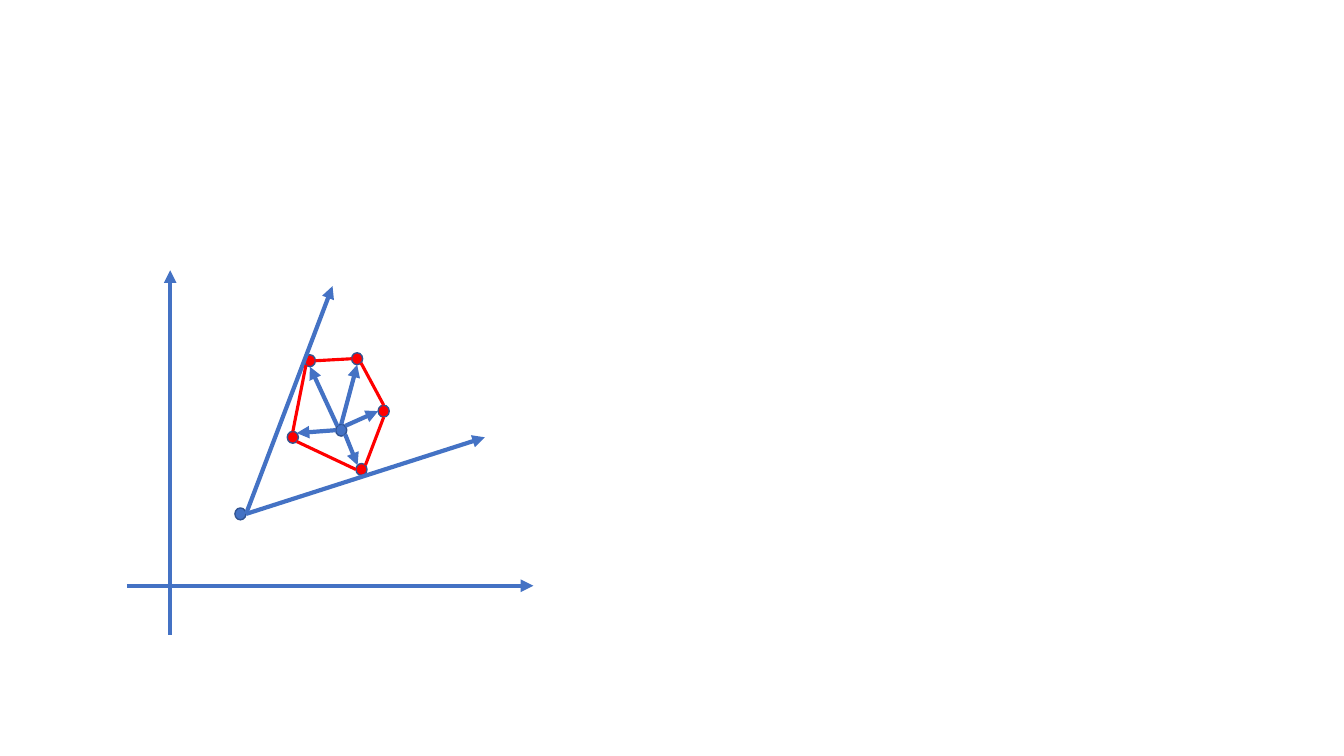
import math
from dataclasses import dataclass

from lxml import etree
from pptx import Presentation
from pptx import util as u
from pptx.dml.color import RGBColor
from pptx.enum import shapes
from pptx.oxml.ns import qn

COLORS = {"blue": "4472C4", "red": "FF0000", "rim": "325491"}
DOT_W, DOT_H = 0.28, 0.30

# Rim positions of a dot, in degrees clockwise from the right
ANGLES = {"E": 0, "SE": 45, "S": 90, "SW": 135, "W": 180, "NW": 225, "N": 270, "NE": 315}

Point = tuple[float, float]


@dataclass
class Dot:
    left: float
    top: float
    color: str

    def rim(self, side: str) -> Point:
        angle = math.radians(ANGLES[side])
        return (self.left + DOT_W / 2 * (1 + math.cos(angle)),
                self.top + DOT_H / 2 * (1 + math.sin(angle)))


@dataclass
class Line:
    start: Point
    end: Point
    color: str = "blue"
    width: float = 3
    arrow: bool = True


def draw_dot(slide, dot: Dot) -> None:
    sp = slide.shapes.add_shape(shapes.MSO_SHAPE.OVAL, u.Cm(dot.left), u.Cm(dot.top),
                                u.Cm(DOT_W), u.Cm(DOT_H))
    sp.shadow.inherit = False
    sp.fill.solid()
    sp.fill.fore_color.rgb = RGBColor.from_string(COLORS[dot.color])
    sp.line.color.rgb = RGBColor.from_string(COLORS["rim"])
    sp.line.width = u.Pt(1)


def draw_line(slide, line: Line) -> None:
    ends = [u.Cm(value) for value in (*line.start, *line.end)]
    cxn = slide.shapes.add_connector(shapes.MSO_CONNECTOR.STRAIGHT, *ends)
    cxn.line.color.rgb = RGBColor.from_string(COLORS[line.color])
    cxn.line.width = u.Pt(line.width)
    if line.arrow:
        etree.SubElement(cxn.line._get_or_add_ln(), qn("a:tailEnd"), type="triangle")
    etree.SubElement(cxn._element.spPr, qn("a:effectLst"))


# Axes
AXES = [
    Line((3.2, 14.76), (13.44, 14.76)),
    Line((4.29, 16), (4.29, 6.81)),
]

# Cone apex, polygon center and polygon corners
DOTS = {
    "apex": Dot(5.92, 12.8, "blue"),
    "top left": Dot(7.67, 8.94, "red"),
    "top right": Dot(8.86, 8.89, "red"),
    "center": Dot(8.46, 10.69, "blue"),
    "right": Dot(9.53, 10.21, "red"),
    "bottom": Dot(8.97, 11.68, "red"),
    "left": Dot(7.24, 10.87, "red"),
}

# Rays that bound the cone
RAY_TIPS = [(12.22, 11.02), (8.38, 7.21)]

# Polygon edges: corner and rim side at each end
EDGES = [
    ("top right", "W", "top left", "E"),
    ("top left", "SW", "left", "N"),
    ("left", "SE", "bottom", "W"),
    ("bottom", "NE", "right", "S"),
    ("right", "N", "top right", "SE"),
]

# Arrows from the center: side left, corner reached, side reached
SPOKES = [
    ("W", "left", "NE"),
    ("NW", "top left", "S"),
    ("N", "top right", "S"),
    ("NE", "right", "W"),
    ("SE", "bottom", "NW"),
]


def main() -> None:
    prs = Presentation()
    prs.slide_width, prs.slide_height = u.Cm(33.87), u.Cm(19.05)
    slide = prs.slides.add_slide(prs.slide_layouts[6])

    rays = [Line(DOTS["apex"].rim("E"), tip) for tip in RAY_TIPS]
    edges = [Line(DOTS[a].rim(side_a), DOTS[b].rim(side_b), "red", 2.25, False)
             for a, side_a, b, side_b in EDGES]
    spokes = [Line(DOTS["center"].rim(out), DOTS[corner].rim(side))
              for out, corner, side in SPOKES]

    for axis in AXES:
        draw_line(slide, axis)
    for dot in DOTS.values():
        draw_dot(slide, dot)
    for line in rays + edges + spokes:
        draw_line(slide, line)

    prs.save("out.pptx")


if __name__ == "__main__":
    main()
